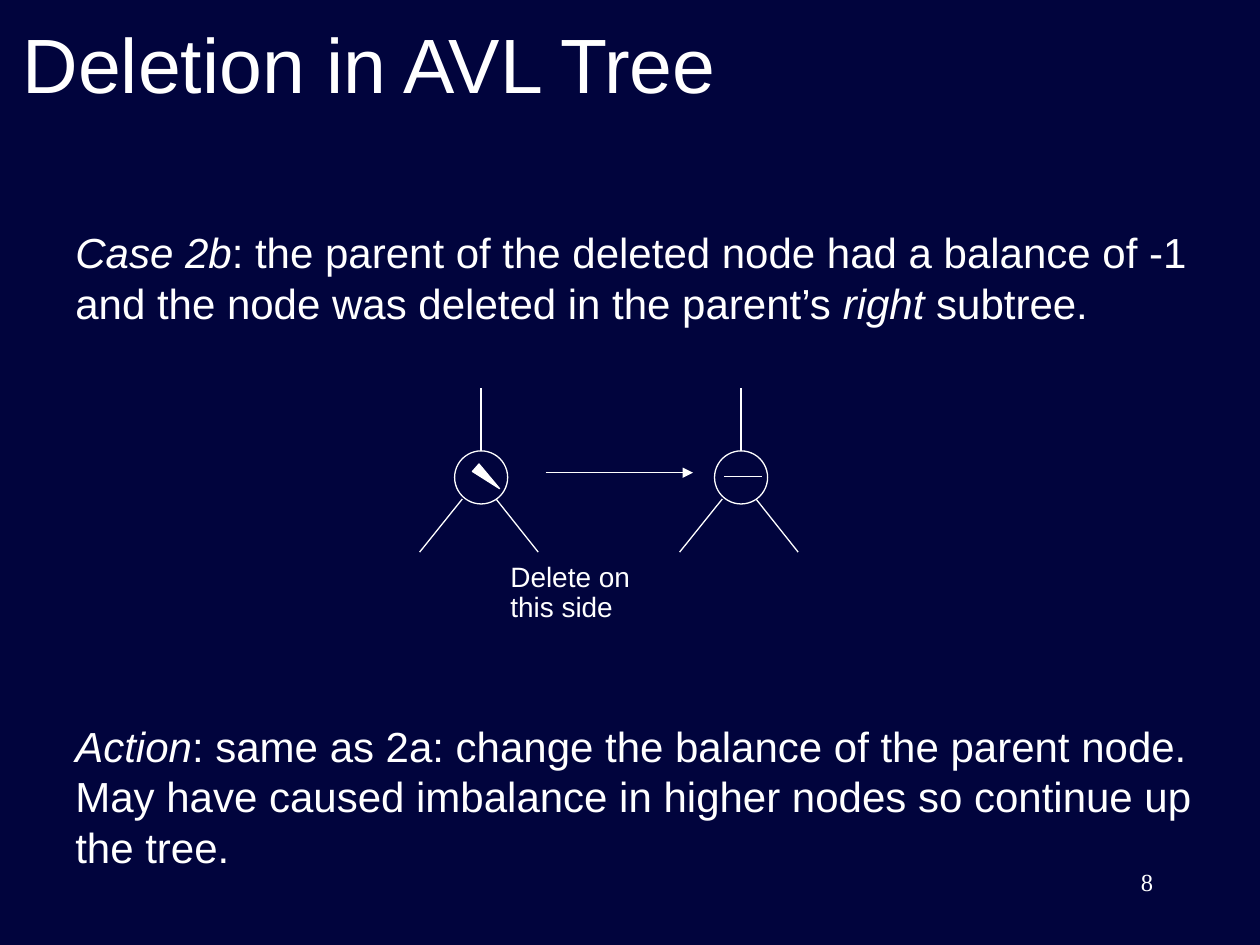
from lxml import etree
from pptx import Presentation
from pptx.enum import shapes, text
from pptx.dml.color import RGBColor
from pptx.oxml.ns import qn
from pptx.util import Cm, Pt

COLOURS = {"night": "01043D", "chalk": "FFFFFF"}
chalk = RGBColor.from_string(COLOURS["chalk"])

prs = Presentation()
prs.slide_width, prs.slide_height = Cm(25.4), Cm(19.05)
slide = prs.slides.add_slide(prs.slide_layouts[5])
slide.background.fill.solid()
slide.background.fill.fore_color.rgb = RGBColor.from_string(COLOURS["night"])


def add_line(x1, y1, x2, y2):
    """Draw a thin chalk line between two points given in centimetres."""
    line = slide.shapes.add_connector(
        shapes.MSO_CONNECTOR.STRAIGHT, Cm(x1), Cm(y1), Cm(x2), Cm(y2))
    line.line.color.rgb = chalk
    line.line.width = Pt(0.75)
    etree.SubElement(line._element.spPr, qn("a:effectLst"))
    return line


def write(frame, runs, size, font="Arial", align=text.PP_ALIGN.LEFT):
    """Fill a text frame with one paragraph of (wording, italic) runs."""
    frame.word_wrap = True
    frame.auto_size = text.MSO_AUTO_SIZE.NONE
    paragraph = frame.paragraphs[0]
    paragraph.alignment = align
    paragraph.font.size = Pt(size)
    paragraph.font.name = font
    paragraph.font.color.rgb = chalk
    for wording, italic in runs:
        run = paragraph.add_run()
        run.text = wording
        if italic:
            run.font.italic = True
    return paragraph


title = slide.shapes.title
title.left, title.top, title.width, title.height = Cm(0.2), Cm(0), Cm(22.86), Cm(2.54)
title.text_frame.vertical_anchor = text.MSO_ANCHOR.MIDDLE
write(title.text_frame, [("Deletion in AVL Tree", False)], 44)

statements = [
    (4.45, 2.34, [
        ("Case 2b", True),
        (": the parent of the deleted node had a balance of -1 and the node "
         "was deleted in the parent’s ", False),
        ("right", True),
        (" subtree.", False)]),
    (14.4, 3.38, [
        ("Action", True),
        (": same as 2a: change the balance of the parent node. May have caused "
         "imbalance in higher nodes so continue up the tree.", False)]),
]
for top, height, runs in statements:
    statement = slide.shapes.add_textbox(Cm(1.27), Cm(top), Cm(24.13), Cm(height))
    write(statement.text_frame, runs, 24).space_before = Pt(6)

# The parent node before and after the deletion
node_size, node_top = 1.07, 9.09
for centre in (9.7, 14.94):
    node = slide.shapes.add_shape(
        shapes.MSO_SHAPE.OVAL, Cm(centre - node_size / 2), Cm(node_top),
        Cm(node_size), Cm(node_size))
    node.shadow.inherit = False
    node.fill.background()
    node.line.color.rgb = chalk
    node.line.width = Pt(0.75)
    stem = add_line(centre, node_top, centre, 7.82)
    stem.begin_connect(node, 0)
    for near, far in ((-0.38, -1.24), (0.3, 1.15)):
        add_line(centre + near, 10.06, centre + far, 11.13)

# Balance marks: leaning left before, level after
left_heavy = slide.shapes.add_shape(
    shapes.MSO_SHAPE.ISOSCELES_TRIANGLE, Cm(9.73), Cm(9.32), Cm(0.2), Cm(0.64))
left_heavy.rotation = 131.2
left_heavy.shadow.inherit = False
left_heavy.fill.solid()
left_heavy.fill.fore_color.rgb = chalk
left_heavy.line.color.rgb = chalk
left_heavy.line.width = Pt(0.75)
add_line(14.6, 9.6, 15.37, 9.6)

transition = add_line(11, 9.53, 13.97, 9.53)
etree.SubElement(transition.line._get_or_add_ln(), qn("a:tailEnd"), type="triangle")

deletion_side = slide.shapes.add_textbox(Cm(9.07), Cm(11.23), Cm(4.5), Cm(1.47))
deletion_side.text_frame.margin_left = Cm(1.22)
caption = write(deletion_side.text_frame, [("Delete on this side", False)], 16)
caption.line_spacing = 0.9
caption.space_before = Pt(4)

page_number = slide.shapes.add_textbox(Cm(18.2), Cm(17.35), Cm(5.3), Cm(1.27))
write(page_number.text_frame, [("8", False)], 14, "Times New Roman", text.PP_ALIGN.RIGHT)

prs.save("out.pptx")
